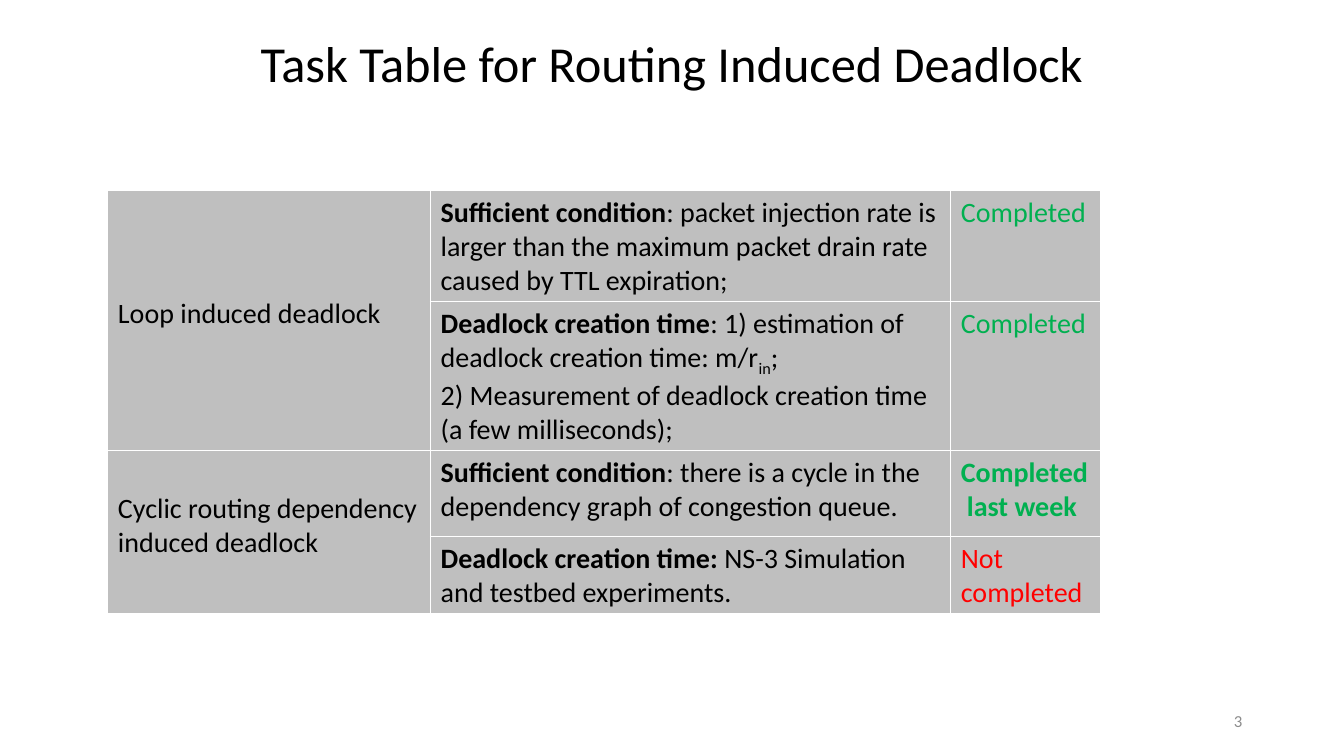
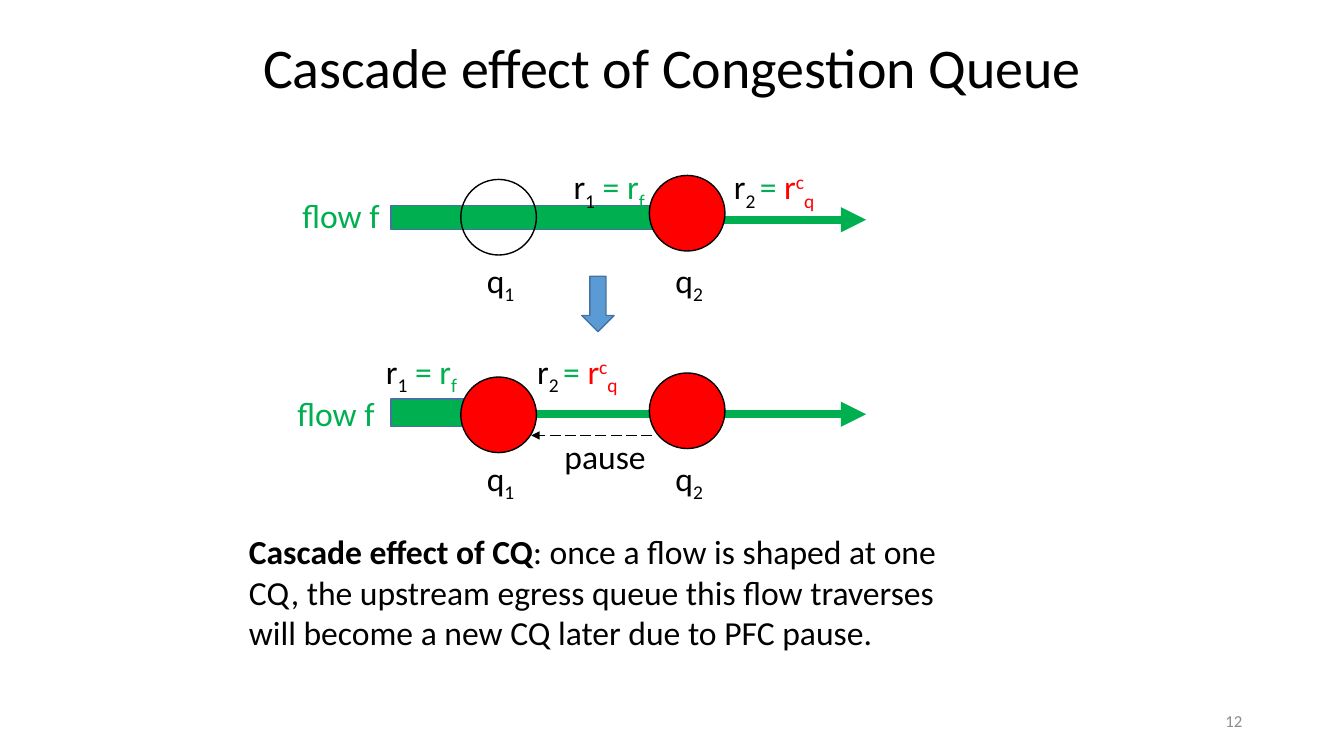
"""Build two slides on routing deadlock: a task table and the congestion queue cascade."""
from lxml import etree
from pptx import Presentation
from pptx import util as u
from pptx.dml.color import RGBColor
from pptx.enum import dml, shapes, text
from pptx.oxml.ns import qn

FONT = "Calibri"
BLACK, WHITE, GREY, NUMBER_GREY = "000000", "FFFFFF", "BFBFBF", "8C8C8C"
GREEN, RED, BLUE, BLUE_EDGE = "00B050", "FF0000", "5B9BD5", "43739E"
SUB, SUPER = -25000, 30000
LEFT, CENTER, RIGHT = text.PP_ALIGN.LEFT, text.PP_ALIGN.CENTER, text.PP_ALIGN.RIGHT


def write(frame, paragraphs, size=24, color=BLACK, bold=False, align=LEFT, wrap=True):
    """Fill a frame; a paragraph is a string or a list of (text, overrides) runs."""
    frame.word_wrap = wrap
    for index, runs in enumerate(paragraphs):
        paragraph = frame.add_paragraph() if index else frame.paragraphs[0]
        paragraph.alignment = align
        for words, own in [(runs, {})] if isinstance(runs, str) else runs:
            run = paragraph.add_run()
            run.text = words
            run.font.name = FONT
            run.font.size = u.Pt(size)
            run.font.bold = own.get("bold", bold)
            run.font.color.rgb = RGBColor.from_string(own.get("color", color))
            if "baseline" in own:
                run.font._element.set("baseline", str(own["baseline"]))


def draw_arrow(slide, ends, color, width, dash=None):
    """Draw a straight arrow between (x1, y1, x2, y2)."""
    arrow = slide.shapes.add_connector(
        shapes.MSO_CONNECTOR.STRAIGHT, *map(u.Inches, ends))
    arrow.line.color.rgb = RGBColor.from_string(color)
    arrow.line.width = u.Pt(width)
    if dash:
        arrow.line.dash_style = dash
    etree.SubElement(arrow.line._get_or_add_ln(), qn("a:tailEnd"), type="triangle")
    etree.SubElement(arrow._element.spPr, qn("a:effectLst"))


deck = Presentation()
deck.slide_width, deck.slide_height = u.Inches(13.33), u.Inches(7.5)

headings = [
    ("Task Table for Routing Induced Deadlock", 36, (1.23, 0.27, 10.87, 0.71), "3"),
    ("Cascade effect of Congestion Queue", 40, (1.72, 0.27, 9.89, 0.77), "12"),
]
for title, title_size, title_box, number in headings:
    slide = deck.slides.add_slide(deck.slide_layouts[6])
    slide.background.fill.solid()
    slide.background.fill.fore_color.rgb = RGBColor.from_string(WHITE)
    footer = slide.shapes.add_textbox(*map(u.Inches, (9.42, 6.95, 3, 0.4))).text_frame
    footer.vertical_anchor = text.MSO_ANCHOR.MIDDLE
    write(footer, [number], size=12, color=NUMBER_GREY, align=RIGHT)
    heading = slide.shapes.add_textbox(*map(u.Inches, title_box)).text_frame
    write(heading, [title], size=title_size, align=CENTER)
task_slide, cascade_slide = deck.slides

strong = {"bold": True}
tasks = [
    ("Loop induced deadlock",
     [[("Sufficient condition", strong),
       (": packet injection rate is larger than the maximum packet drain rate "
        "caused by TTL expiration;", {})]],
     ["Completed"], GREEN, False),
    ("",
     [[("Deadlock creation time", strong),
       (": 1) estimation of deadlock creation time: m/r", {}),
       ("in", {"baseline": SUB}), (";", {})],
      "2) Measurement of deadlock creation time (a few milliseconds);"],
     ["Completed"], GREEN, False),
    ("Cyclic routing dependency induced deadlock",
     [[("Sufficient condition", strong),
       (": there is a cycle in the dependency graph of congestion queue.", {})]],
     ["Completed", "last week"], GREEN, True),
    ("",
     [[("Deadlock creation time: ", strong),
       ("NS-3 Simulation and testbed experiments.", {})]],
     ["Not completed"], RED, False),
]
task_table = task_slide.shapes.add_table(
    4, 3, *map(u.Inches, (1.07, 1.89, 9.85, 4.15))).table
task_table.horz_banding = False
for column, width in zip(task_table.columns, (3.2, 5.16, 1.49)):
    column.width = u.Inches(width)
for row, height in zip(task_table.rows, (1.1, 1.41, 0.85, 0.77)):
    row.height = u.Inches(height)
for top in (0, 2):
    task_table.cell(top, 0).merge(task_table.cell(top + 1, 0))
for index, (kind, task, status, status_color, status_bold) in enumerate(tasks):
    kind_cell, task_cell, status_cell = task_table.rows[index].cells
    for cell in (kind_cell, task_cell, status_cell):
        cell.fill.solid()
        cell.fill.fore_color.rgb = RGBColor.from_string(GREY)
    if kind:
        kind_cell.vertical_anchor = text.MSO_ANCHOR.MIDDLE
        kind_cell.margin_bottom = u.Inches(0.18)
        write(kind_cell.text_frame, [kind], size=20)
    write(task_cell.text_frame, task, size=20)
    write(status_cell.text_frame, status, size=20, color=status_color, bold=status_bold)
    for later_line in status_cell.text_frame.paragraphs[1:]:
        later_line._p.get_or_add_pPr().set("marL", str(u.Inches(0.06)))

for start, y in ((6.99, 2.18), (4.92, 4.11)):
    draw_arrow(cascade_slide, (start, y, 8.59, y), GREEN, 6)

bar, circle = shapes.MSO_SHAPE.RECTANGLE, shapes.MSO_SHAPE.OVAL
figures = [
    (bar, (3.88, 2.04, 2.93, 0.24), GREEN, BLUE_EDGE),
    (bar, (3.88, 3.96, 1.04, 0.27), GREEN, BLUE_EDGE),
    (circle, (6.44, 1.74, 0.75, 0.75), RED, BLACK),
    (circle, (4.57, 1.78, 0.75, 0.75), None, BLACK),
    (circle, (6.44, 3.7, 0.75, 0.75), RED, BLACK),
    (circle, (4.57, 3.74, 0.75, 0.75), RED, BLACK),
    (shapes.MSO_SHAPE.DOWN_ARROW, (5.77, 2.74, 0.32, 0.55), BLUE, BLUE_EDGE),
]
for preset, box, fill, edge in figures:
    figure = cascade_slide.shapes.add_shape(preset, *map(u.Inches, box))
    figure.shadow.inherit = False
    figure.line.color.rgb = RGBColor.from_string(edge)
    figure.line.width = u.Pt(1)
    if fill:
        figure.fill.solid()
        figure.fill.fore_color.rgb = RGBColor.from_string(fill)
    else:
        figure.fill.background()

flow = [("flow f", {"color": GREEN})]
rate_1 = [("r", {}), ("1", {"baseline": SUB}), (" = r", {"color": GREEN}),
          ("f", {"color": GREEN, "baseline": SUB})]
rate_2 = [("r", {}), ("2 ", {"baseline": SUB}), ("= ", {"color": GREEN}),
          ("r", {"color": RED}), ("c", {"color": RED, "baseline": SUPER}),
          ("q", {"color": RED, "baseline": SUB})]
queue_1, queue_2 = ([("q", {}), (digit, {"baseline": SUB})] for digit in "12")
labels = [
    (flow, 2.9, 1.88, 0.98), (flow, 2.85, 3.85, 0.98),
    (rate_1, 5.59, 1.6, 0.94), (rate_1, 3.73, 3.43, 0.94),
    (rate_2, 7.18, 1.6, 1.13), (rate_2, 5.23, 3.43, 1.13),
    (queue_1, 4.73, 2.53, 0.49), (queue_1, 4.73, 4.49, 0.49),
    (queue_2, 6.6, 2.53, 0.49), (queue_2, 6.6, 4.49, 0.49),
    ("pause", 5.5, 4.28, 1.02),
]
for label, left, top, width in labels:
    label_box = cascade_slide.shapes.add_textbox(*map(u.Inches, (left, top, width, 0.5)))
    write(label_box.text_frame, [label], wrap=False)

summary = cascade_slide.shapes.add_textbox(*map(u.Inches, (2.37, 5.22, 7.38, 1.31)))
write(summary.text_frame, [[
    ("Cascade effect of CQ", strong),
    (": once a flow is shaped at one CQ, the upstream egress queue this flow "
     "traverses will become a new CQ later due to PFC pause.", {})]])
draw_arrow(cascade_slide, (6.47, 4.32, 5.27, 4.32), BLACK, 1, dml.MSO_LINE.LONG_DASH)

deck.save("out.pptx")
